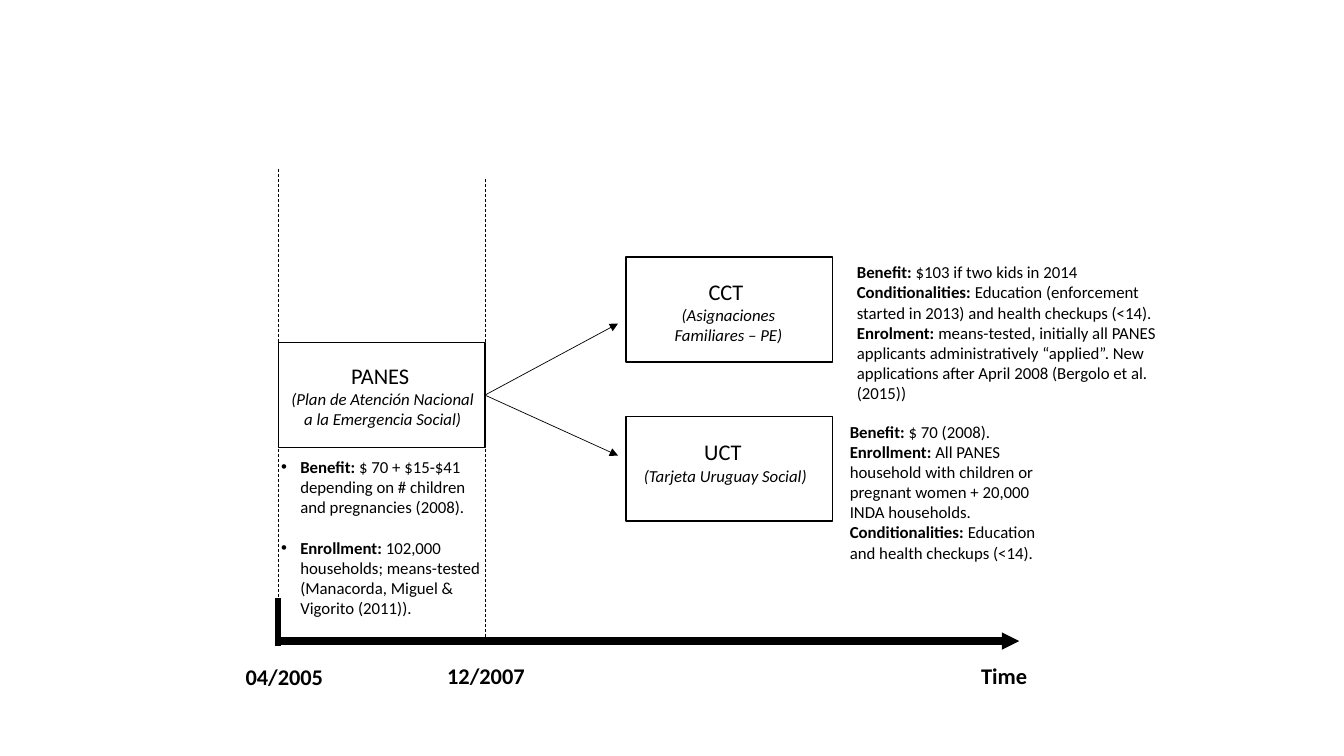
from lxml.etree import SubElement
from pptx import Presentation
from pptx.dml.color import RGBColor
from pptx.enum.dml import MSO_LINE
from pptx.enum.shapes import MSO_CONNECTOR, MSO_SHAPE
from pptx.enum.text import MSO_AUTO_SIZE, PP_ALIGN
from pptx.oxml.ns import qn
from pptx.util import Inches, Pt

BLACK, WHITE = "000000", "FFFFFF"
FONT = "Calibri"
BOX = (2.05, 1.04)

BOXES = [(2.76, 3.4), (6.21, 2.55), (6.21, 4.13)]

TITLES = [
    ((2.77, 3.54, 2.05, 1.04), "PANES ", "(Plan de Atención Nacional a la Emergencia Social)"),
    ((6.3, 2.71, 1.85, 1.04), "CCT ", "(Asignaciones Familiares – PE)"),
    ((6.13, 4.3, 2.13, 0.84), "UCT ", "(Tarjeta Uruguay Social)"),
]

LINES = [
    ((4.81, 3.92), (6.13, 3.21), 0.5, {"head": "med"}),
    ((4.81, 3.92), (6.13, 4.52), 0.5, {"head": "med"}),
    ((2.76, 6.36), (10.11, 6.36), 6.25, {"head": "sm"}),
    ((2.76, 6.41), (2.76, 5.93), 4, {}),
    ((2.76, 5.97), (2.76, 1.67), 0.5, {"dash": True}),
    ((4.81, 6.37), (4.81, 1.77), 0.5, {"dash": True}),
]

DATES = [
    ((2.28, 6.53, 1.08, 0.71), "04/2005"),
    ((4.32, 6.52, 1, 0.71), "12/2007"),
    ((9.48, 6.52, 0.96, 0.71), "Time"),
]

NOTES = [
    ((8.4, 2.55, 3.19, 2.19), {}, [
        ("Benefit: ", "$103 if two kids in 2014"),
        ("Conditionalities: ", "Education (enforcement started in 2013) and health checkups (<14)."),
        ("Enrolment: ", "means-tested, initially all PANES applicants administratively “applied”. "
                        "New applications after April 2008 (Bergolo et al. (2015))"),
    ]),
    ((2.69, 4.48, 2.2, 2.39), {"bullet": True, "gap": 14.6}, [
        ("Benefit: ", "$ 70 + $15-$41 depending on # children and pregnancies (2008)."),
        ("Enrollment: ", "102,000 households; means-tested (Manacorda, Miguel & Vigorito (2011))."),
    ]),
    ((8.33, 4.13, 2.05, 2.39), {}, [
        ("Benefit: ", "$ 70 (2008)."),
        ("Enrollment: ", "All PANES household with children or pregnant women + 20,000 INDA households."),
        ("Conditionalities: ", "Education and health checkups (<14)."),
    ]),
]

deck = Presentation()
deck.slide_width, deck.slide_height = Inches(13.33), Inches(7.5)
slide = deck.slides.add_slide(deck.slide_layouts[6])
shapes = slide.shapes


def color(code):
    return RGBColor.from_string(code)


def write(spot, paras, align=PP_ALIGN.LEFT, bullet=False, gap=0):
    frame = shapes.add_textbox(*map(Inches, spot)).text_frame
    frame.word_wrap = True
    frame.auto_size = MSO_AUTO_SIZE.SHAPE_TO_FIT_TEXT
    for i, runs in enumerate(paras):
        para = frame.add_paragraph() if i else frame.paragraphs[0]
        para.alignment = align
        if i and gap:
            para.space_before = Pt(gap)
        if bullet:
            props = para._p.get_or_add_pPr()
            props.set("marL", str(Inches(0.19)))
            props.set("indent", str(-Inches(0.19)))
            SubElement(props, qn("a:buFont"), typeface="Arial")
            SubElement(props, qn("a:buChar"), char="•")
        for text, size, bold, slant in runs:
            run = para.add_run()
            run.text = text
            font = run.font
            font.name, font.size = FONT, Pt(size)
            font.bold, font.italic = bold, slant
            font.color.rgb = color(BLACK)


def join(start, end, width, head=None, dash=False):
    link = shapes.add_connector(MSO_CONNECTOR.STRAIGHT, *map(Inches, start + end))
    link.line.color.rgb = color(BLACK)
    link.line.width = Pt(width)
    if dash:
        link.line.dash_style = MSO_LINE.DASH
    if head:
        SubElement(link.line._get_or_add_ln(), qn("a:tailEnd"), type="triangle", w=head, len=head)
    SubElement(link._element.spPr, qn("a:effectLst"))


for spot in BOXES:
    box = shapes.add_shape(MSO_SHAPE.RECTANGLE, *map(Inches, spot + BOX))
    box.shadow.inherit = False
    box.fill.solid()
    box.fill.fore_color.rgb = color(WHITE)
    box.line.color.rgb = color(BLACK)
    box.line.width = Pt(1)

for spot, name, full in TITLES:
    write(spot, [[(name, 16, False, False)], [(full, 12, False, True)]], align=PP_ALIGN.CENTER)

for start, end, width, style in LINES:
    join(start, end, width, **style)

for spot, date in DATES:
    write(spot, [[(date, 16, True, False)]], align=PP_ALIGN.CENTER)

for spot, style, items in NOTES:
    paras = [[(term, 12, True, False), (text, 12, False, False)] for term, text in items]
    write(spot, paras, **style)

deck.save("out.pptx")
